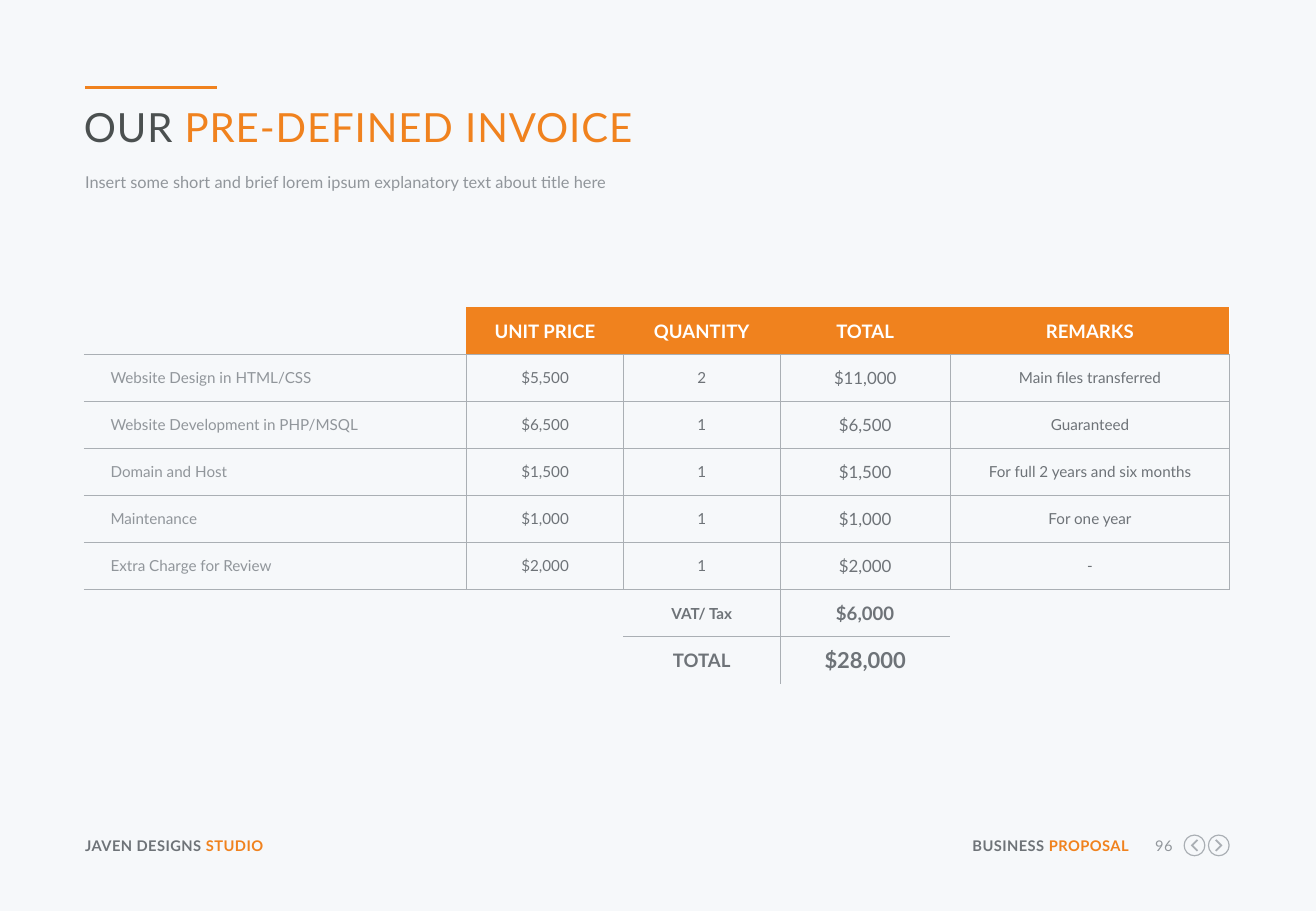
import math
from dataclasses import dataclass
from typing import Optional

import pptx
import pptx.dml.color
import pptx.enum.shapes
import pptx.enum.text
import pptx.oxml.ns
import pptx.util
from lxml import etree

Inches = pptx.util.Inches
Pt = pptx.util.Pt
qn = pptx.oxml.ns.qn
ALIGN = pptx.enum.text.PP_ALIGN

FONT = "Lato"
COLORS = {
    "bg": "F6F8FA", "orange": "F0821E", "white": "FFFFFF", "rule": "AAAFB4",
    "title": "4B5050", "dark": "6E7378", "light": "91969B",
}


@dataclass
class Run:
    text: str
    size: float
    color: str
    bold: bool = False
    spacing: float = 0


@dataclass
class Label:
    left: float
    top: float
    width: float
    height: float
    runs: list[Run]
    align: ALIGN = ALIGN.LEFT
    line_pt: Optional[float] = None


LABELS = [
    Label(0.69, 0.84, 9.42, 0.41, [
        Run("OUR ", 23.8, "title", spacing=0.58),
        Run("PRE-DEFINED INVOICE", 23.8, "orange", spacing=0.58)]),
    Label(0.7, 1.4, 9.42, 0.21, [
        Run("Insert some short and brief lorem ipsum explanatory text about title here",
            9.7, "light")], line_pt=13),
    Label(0.7, 6.89, 2.11, 0.15, [
        Run("JAVEN DESIGNS ", 8.7, "dark", True, 0.23),
        Run("STUDIO", 8.7, "orange", True, 0.23)]),
    Label(7.92, 6.89, 1.37, 0.15, [
        Run("BUSINESS ", 8.7, "dark", True, 0.23),
        Run("PROPOSAL", 8.7, "orange", True, 0.23)], ALIGN.RIGHT),
    Label(9.4, 6.89, 0.25, 0.15, [Run("96", 8.7, "light", spacing=0.23)], ALIGN.RIGHT),
]

# Invoice contents
HEADER = ["", "UNIT PRICE", "QUANTITY", "TOTAL", "REMARKS"]
ITEMS = [
    ["Website Design in HTML/CSS", "$5,500", "2", "$11,000", "Main files transferred"],
    ["Website Development in PHP/MSQL", "$6,500", "1", "$6,500", "Guaranteed"],
    ["Domain and Host", "$1,500", "1", "$1,500", "For full 2 years and six months"],
    ["Maintenance", "$1,000", "1", "$1,000", "For one year"],
    ["Extra Charge for Review", "$2,000", "1", "$2,000", "-"],
]
ITEM_SIZES = [9, 9, 9, 10, 9]
COL_WIDTHS = [3.15, 1.29, 1.29, 1.4, 2.3]
TABLE_HEIGHT = 3.1
VAT_ROW = len(ITEMS) + 1


def rgb(name: str) -> pptx.dml.color.RGBColor:
    return pptx.dml.color.RGBColor.from_string(COLORS[name])


def add_run(p, run: Run) -> None:
    r = p.add_run()
    r.text = run.text
    r.font.name, r.font.size, r.font.bold = FONT, Pt(run.size), run.bold
    r.font.color.rgb = rgb(run.color)
    if run.spacing:
        r.font._element.set("spc", str(round(run.spacing * 100)))


def add_label(s, label: Label) -> None:
    sp = s.shapes.add_textbox(*map(Inches, (label.left, label.top, label.width, label.height)))
    tf = sp.text_frame
    tf.word_wrap = True
    tf.margin_left = tf.margin_right = tf.margin_top = tf.margin_bottom = 0
    p = tf.paragraphs[0]
    p.alignment = label.align
    if label.line_pt:
        p.line_spacing = Pt(label.line_pt)
    for run in label.runs:
        add_run(p, run)


def add_accent(s) -> None:
    line = s.shapes.add_connector(pptx.enum.shapes.MSO_CONNECTOR.STRAIGHT,
                                  *map(Inches, (0.7, 0.72, 1.79, 0.72)))
    line.line.color.rgb = rgb("orange")
    line.line.width = Pt(2.25)
    etree.SubElement(line._element.spPr, qn("a:effectLst"))


def add_nav_button(s, cx: float, cy: float, direction: int) -> None:
    """Ring with a chevron; direction is 1 for next, -1 for previous."""
    def circle(radius: float, turn: int) -> list[tuple[float, float]]:
        angles = [turn * math.tau * i / 16 for i in range(16)]
        return [(radius * math.cos(a), radius * math.sin(a)) for a in angles]

    chevron = [(-0.03, -0.04), (0.01, 0), (-0.03, 0.04),
               (-0.02, 0.05), (0.03, 0), (-0.02, -0.05)]
    contours = [circle(0.09, 1), circle(0.08, -1), [(direction * x, y) for x, y in chevron]]
    builder = None
    for contour in contours:
        points = [(Inches(cx + x), Inches(cy + y)) for x, y in contour]
        if builder is None:
            builder = s.shapes.build_freeform(*points[0])
        else:
            builder.move_to(*points[0])
        builder.add_line_segments(points[1:], close=True)
    sp = builder.convert_to_shape()
    sp.shadow.inherit = False
    sp.fill.solid()
    sp.fill.fore_color.rgb = rgb("rule")
    sp.line.fill.background()


def vertical_edge(row: int, edge: int) -> Optional[str]:
    if row == 0:
        return {0: None, 5: "white"}.get(edge, "orange")
    if row < VAT_ROW:
        return "rule" if edge else None
    return "rule" if edge == 3 else None


def horizontal_edge(edge: int, col: int) -> Optional[str]:
    if 1 <= edge <= VAT_ROW or (edge == VAT_ROW + 1 and col in (2, 3)):
        return "rule"
    return None


def set_borders(cell, row: int, col: int) -> None:
    edges = {"L": vertical_edge(row, col), "R": vertical_edge(row, col + 1),
             "T": horizontal_edge(row, col), "B": horizontal_edge(row + 1, col)}
    tc_pr = cell._tc.get_or_add_tcPr()
    for side, color in edges.items():
        ln = etree.SubElement(tc_pr, qn(f"a:ln{side}"), w=str(Pt(0.75)))
        if color:
            fill = etree.SubElement(ln, qn("a:solidFill"))
            etree.SubElement(fill, qn("a:srgbClr"), val=COLORS[color])
        else:
            etree.SubElement(ln, qn("a:noFill"))


def invoice_rows() -> list[list[Run]]:
    blank = Run("", 9, "dark")
    rows = [[Run(text, 11, "white", True) for text in HEADER]]
    for item in ITEMS:
        rows.append([Run(text, size, "dark" if col else "light")
                     for col, (text, size) in enumerate(zip(item, ITEM_SIZES))])
    for name, name_size, amount, size in [("VAT/ Tax", 9, "$6,000", 11),
                                          ("TOTAL", 11, "$28,000", 13)]:
        rows.append([blank, blank, Run(name, name_size, "dark", True),
                     Run(amount, size, "dark", True), blank])
    return rows


def add_invoice(s) -> None:
    rows = invoice_rows()
    frame = s.shapes.add_table(len(rows), len(COL_WIDTHS), Inches(0.69), Inches(2.53),
                               Inches(sum(COL_WIDTHS)), Inches(TABLE_HEIGHT))
    table = frame.table
    table.first_row = table.horz_banding = False
    for column, width in zip(table.columns, COL_WIDTHS):
        column.width = Inches(width)
    for i, row in enumerate(rows):
        table.rows[i].height = Inches(TABLE_HEIGHT / len(rows))
        for j, run in enumerate(row):
            cell = table.cell(i, j)
            cell.margin_left = Inches(0 if j else 0.22)
            cell.margin_right = cell.margin_top = cell.margin_bottom = 0
            cell.vertical_anchor = pptx.enum.text.MSO_ANCHOR.MIDDLE
            set_borders(cell, i, j)
            if i == 0 and j:
                cell.fill.solid()
                cell.fill.fore_color.rgb = rgb("orange")
            else:
                cell.fill.background()
            if run.text:
                p = cell.text_frame.paragraphs[0]
                p.alignment = ALIGN.CENTER if j else ALIGN.LEFT
                add_run(p, run)
    # Empty corners beside the totals
    table.cell(VAT_ROW, 0).merge(table.cell(VAT_ROW + 1, 1))
    table.cell(VAT_ROW, 4).merge(table.cell(VAT_ROW + 1, 4))


def main() -> None:
    prs = pptx.Presentation()
    prs.slide_width, prs.slide_height = Inches(10.83), Inches(7.5)
    s = prs.slides.add_slide(prs.slide_layouts[6])
    s.background.fill.solid()
    s.background.fill.fore_color.rgb = rgb("bg")
    add_accent(s)
    for label in LABELS:
        add_label(s, label)
    add_nav_button(s, 9.83, 6.96, -1)
    add_nav_button(s, 10.03, 6.96, 1)
    add_invoice(s)
    prs.save("out.pptx")


if __name__ == "__main__":
    main()
